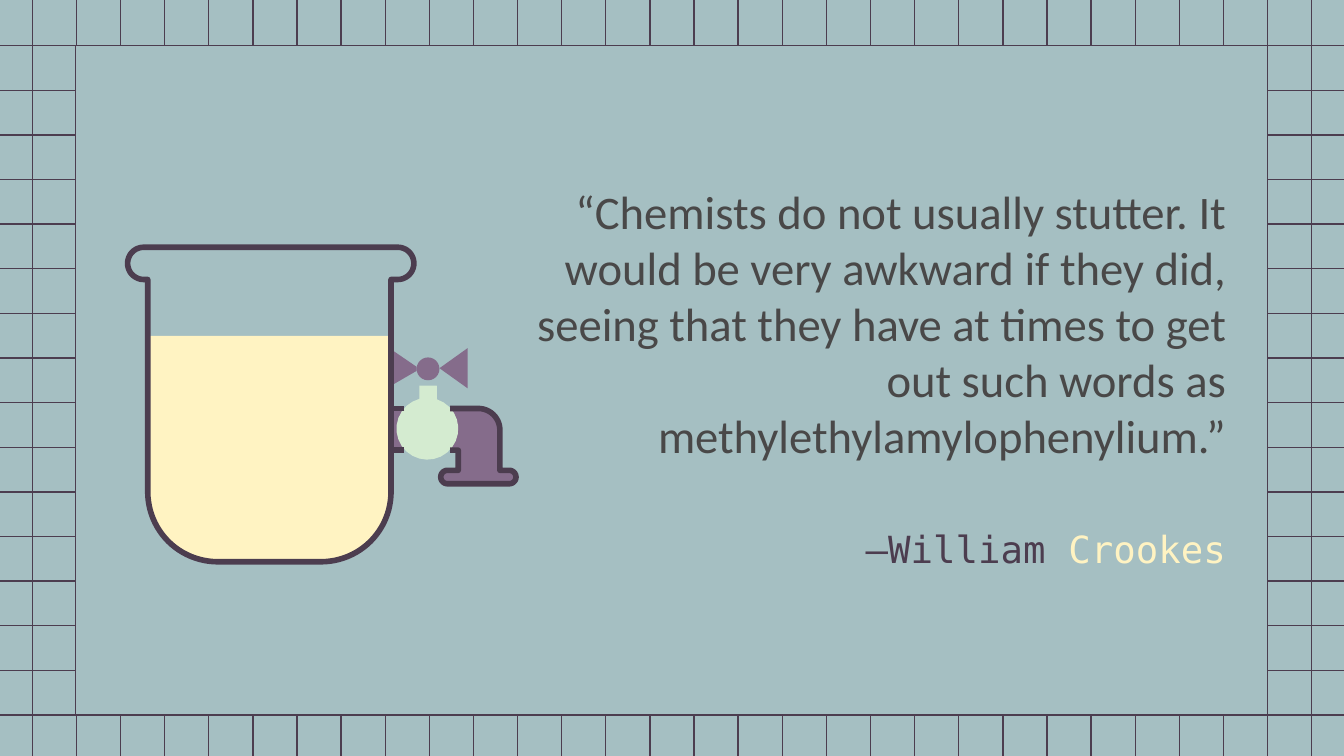
"""Build a quote slide with a grid border and a vessel with a tap."""
from math import cos, radians, sin

from lxml.etree import SubElement
from pptx import Presentation
from pptx.dml.color import RGBColor
from pptx.enum.shapes import MSO_CONNECTOR, MSO_SHAPE
from pptx.enum.text import MSO_ANCHOR, PP_ALIGN
from pptx.oxml.ns import qn
from pptx.util import Inches, Pt

BACKGROUND, INK, CREAM = "A5BFC2", "4C3D4F", "FFF3C2"
PURPLE, MINT, GRAY = "856C8B", "D4EBD0", "494848"
WIDTH = 10
HEIGHT = WIDTH * 9 / 16
color = RGBColor.from_string


def arc(center_x, center_y, radius, start, end, steps=24):
    """Return points along an arc, with angles in degrees clockwise from the right."""
    angles = [radians(start + (end - start) * step / steps) for step in range(steps + 1)]
    return [(center_x + radius * cos(angle), center_y + radius * sin(angle)) for angle in angles]


def draw_outline(points, fill=None, line=None, close=True):
    """Draw a freeform through points given in inches."""
    corners = [(Inches(x), Inches(y)) for x, y in points]
    builder = slide.shapes.build_freeform(*corners[0])
    builder.add_line_segments(corners[1:], close=close)
    shape = builder.convert_to_shape()
    shape.shadow.inherit = False
    if fill:
        shape.fill.solid()
        shape.fill.fore_color.rgb = color(fill)
    else:
        shape.fill.background()
    if line:
        shape.line.color.rgb = color(line)
        shape.line.width = Pt(3)
    else:
        shape.line.fill.background()


presentation = Presentation()
presentation.slide_width, presentation.slide_height = Inches(WIDTH), Inches(HEIGHT)
slide = presentation.slides.add_slide(presentation.slide_layouts[6])
slide.background.fill.solid()
slide.background.fill.fore_color.rgb = color(BACKGROUND)

column_gap = (9.76 - 0.24) / 29
row_gap = (5.32 - 0.34) / 15
grid_lines = [(0.24 + column_gap * column, 0, 0.24 + column_gap * column, HEIGHT) for column in range(30)]
grid_lines += [(0, 0.34 + row_gap * row, WIDTH, 0.34 + row_gap * row) for row in range(16)]
for ends in grid_lines:
    connector = slide.shapes.add_connector(MSO_CONNECTOR.STRAIGHT, *[Inches(end) for end in ends])
    connector.line.color.rgb = color(INK)
    connector.line.width = Pt(0.75)
    SubElement(connector._element.spPr, qn("a:effectLst"))

panel = slide.shapes.add_shape(MSO_SHAPE.RECTANGLE, Inches(0.56), Inches(0.34), Inches(8.87), Inches(4.98))
knob = slide.shapes.add_shape(MSO_SHAPE.OVAL, Inches(3.1), Inches(2.66), Inches(0.17), Inches(0.17))
for shape, fill in ((panel, BACKGROUND), (knob, PURPLE)):
    shape.shadow.inherit = False
    shape.fill.solid()
    shape.fill.fore_color.rgb = color(fill)
panel.line.color.rgb = color(INK)
panel.line.width = Pt(0.75)
knob.line.fill.background()

text_boxes = [
    {"at": (4.45, 3.79, 4.77, 0.58), "anchor": MSO_ANCHOR.MIDDLE, "font": "DejaVu Sans Mono", "size": 20,
     "runs": [("—William ", INK), ("Crookes", CREAM)]},
    {"at": (3.86, 1.26, 5.36, 2.53), "anchor": MSO_ANCHOR.TOP, "font": "Calibri", "size": 25,
     "runs": [("“Chemists do not usually stutter. It would be very awkward if they did, seeing that they "
               "have at times to get out such words as methylethylamylophenylium.”", GRAY)]},
]
for text_box in text_boxes:
    frame = slide.shapes.add_textbox(*[Inches(value) for value in text_box["at"]]).text_frame
    frame_format = {"word_wrap": True, "vertical_anchor": text_box["anchor"]}
    frame_format.update({f"margin_{side}": Inches(0.1) for side in ("left", "top", "right", "bottom")})
    for name, value in frame_format.items():
        setattr(frame, name, value)
    paragraph = frame.paragraphs[0]
    paragraph.alignment = PP_ALIGN.RIGHT
    for text, text_color in text_box["runs"]:
        run = paragraph.add_run()
        run.text = text
        run.font.color.rgb = color(text_color)
        for name, value in {"name": text_box["font"], "size": Pt(text_box["size"])}.items():
            setattr(run.font, name, value)

inlet = [(3.01, 3.04), (2.91, 3.04), (2.91, 3.35), (3.01, 3.35)]
spout = [(3.35, 3.04), *arc(3.56, 3.2, 0.16, -90, 0), (3.72, 3.5), *arc(3.79, 3.55, 0.05, -90, 90),
         *arc(3.33, 3.55, 0.05, 90, 270), (3.41, 3.5), (3.41, 3.35), (3.35, 3.35)]
bulb = [(3.12, 2.87), (3.25, 2.87), *arc(3.18, 3.19, 0.23, -72, 255)]
left_wing = [(2.91, 2.6), (3.1, 2.73), (3.1, 2.76), (2.91, 2.87)]
right_wing = [(3.48, 2.59), (3.48, 2.89), (3.27, 2.74)]
bowl = [*arc(2.39, 3.66, 0.52, 0, 90), *arc(1.62, 3.66, 0.52, 90, 180)]
liquid = [(2.91, 2.5), *bowl, (1.1, 2.5)]
vessel = [*arc(1.07, 1.96, 0.12, 90, 270), *arc(2.96, 1.96, 0.12, -90, 90), (2.91, 2.08), *bowl, (1.1, 2.08)]

for points, fill in ((inlet, PURPLE), (spout, PURPLE), (bulb, MINT), (left_wing, PURPLE),
                     (right_wing, PURPLE), (liquid, CREAM)):
    draw_outline(points, fill=fill)
for points, close in ((vessel, True), (inlet, False), (spout, False)):
    draw_outline(points, line=INK, close=close)

presentation.save("out.pptx")
